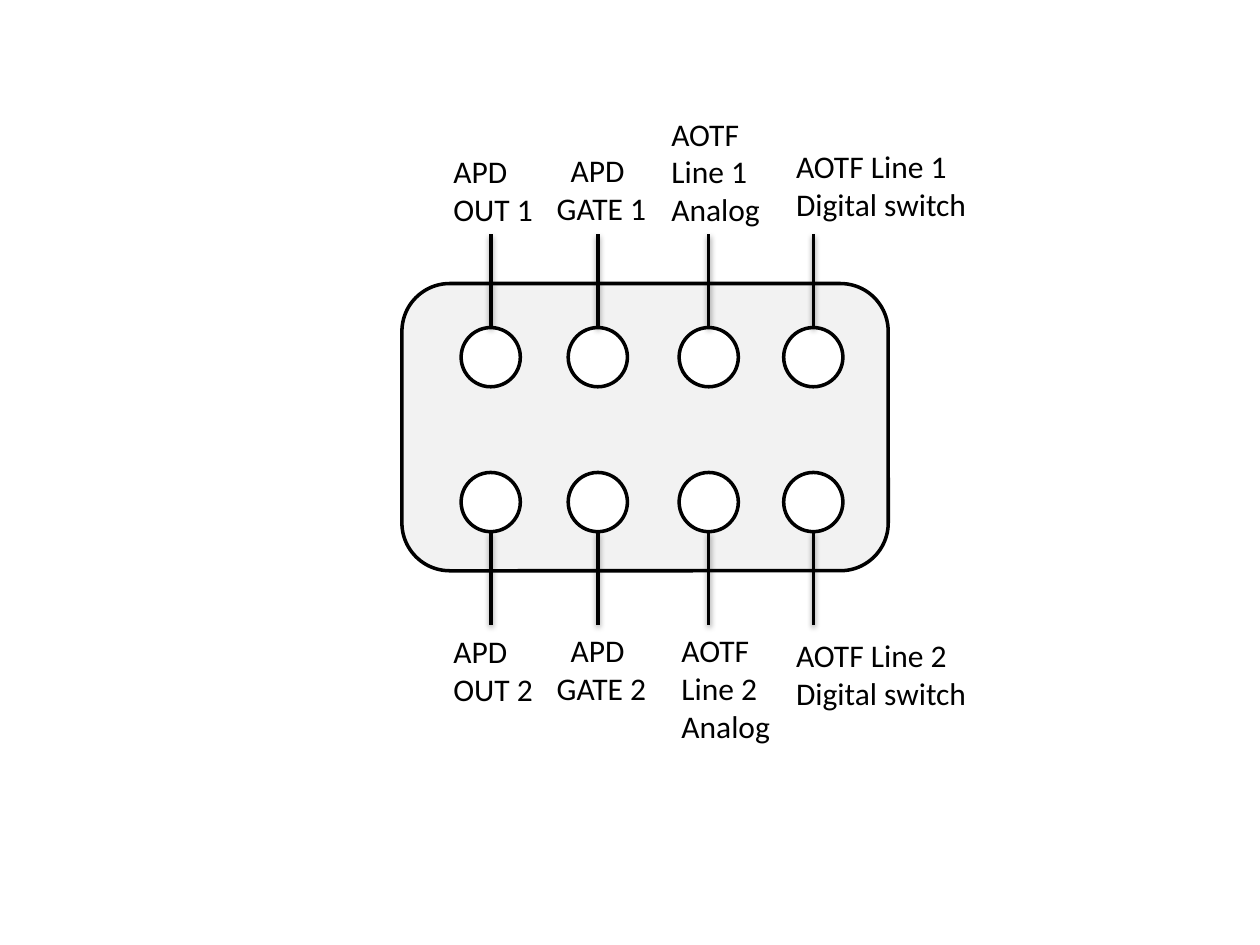
"""Build a slide showing the labelled connector panel for the APD and AOTF lines."""
from pptx import Presentation
from pptx.dml.color import RGBColor
from pptx.enum.shapes import MSO_CONNECTOR, MSO_SHAPE
from pptx.enum.text import MSO_AUTO_SIZE
from pptx.util import Inches, Pt

STRAIGHT = MSO_CONNECTOR.STRAIGHT
ROUNDED, OVAL = MSO_SHAPE.ROUNDED_RECTANGLE, MSO_SHAPE.OVAL
FIT_SHAPE = MSO_AUTO_SIZE.SHAPE_TO_FIT_TEXT

THEME = {
    "ink": RGBColor(0, 0, 0),
    "panel": RGBColor(0xF2, 0xF2, 0xF2),
    "socket": RGBColor(0xFF, 0xFF, 0xFF),
    "font": "Calibri",
    "size": Pt(18),
    "line": Pt(2),
}
SOCKET = 0.47
LEAD = 0.74
GATE_INDENT = 0.11

prs = Presentation()
prs.slide_width, prs.slide_height = Inches(10), Inches(7.5)
slide = prs.slides.add_slide(prs.slide_layouts[6])


def add_outlined(kind, left, top, width, height, fill):
    shape = slide.shapes.add_shape(
        kind, Inches(left), Inches(top), Inches(width), Inches(height))
    shape.shadow.inherit = False
    shape.fill.solid()
    shape.fill.fore_color.rgb = fill
    shape.line.color.rgb = THEME["ink"]
    shape.line.width = THEME["line"]


def add_label(lines, left, top, width, height, indent):
    label = slide.shapes.add_textbox(
        Inches(left), Inches(top), Inches(width), Inches(height))
    frame = label.text_frame
    frame.text = "\n".join(lines)
    frame.word_wrap = False
    frame.auto_size = FIT_SHAPE
    for paragraph in frame.paragraphs:
        paragraph.font.name = THEME["font"]
        paragraph.font.size = THEME["size"]
        paragraph.font.color.rgb = THEME["ink"]
    frame.paragraphs[0]._p.get_or_add_pPr().set("indent", str(Inches(indent)))


add_outlined(ROUNDED, 3.19, 2.25, 3.86, 2.28, THEME["panel"])

socket_lefts = [3.66, 4.51, 5.39, 6.22]
socket_tops = [2.6, 3.75]
lead_starts = [socket_tops[0] - LEAD, socket_tops[1] + SOCKET]

for socket_top in socket_tops:
    for socket_left in socket_lefts:
        add_outlined(OVAL, socket_left, socket_top, SOCKET, SOCKET, THEME["socket"])

for lead_start in lead_starts:
    for socket_left in socket_lefts:
        center = Inches(socket_left + SOCKET / 2)
        lead = slide.shapes.add_connector(
            STRAIGHT, center, Inches(lead_start), center, Inches(lead_start + LEAD))
        lead.line.color.rgb = THEME["ink"]
        lead.line.width = THEME["line"]

signals = [
    (["APD", "OUT {}"], 0.84, 0.71, 0, [(3.5, 1.16), (3.5, 4.97)]),
    (["APD", "GATE {}"], 0.92, 0.71, GATE_INDENT, [(4.32, 1.15), (4.32, 4.96)]),
    (["AOTF", "Line {}", "Analog"], 0.91, 1.01, 0, [(5.23, 0.86), (5.31, 4.96)]),
    (["AOTF Line {}", "Digital switch"], 1.57, 0.71, 0, [(6.22, 1.12), (6.22, 5)]),
]
for wording, width, height, indent, places in signals:
    for channel, (left, top) in enumerate(places, start=1):
        lines = [line.format(channel) for line in wording]
        add_label(lines, left, top, width, height, indent)

prs.save("out.pptx")
